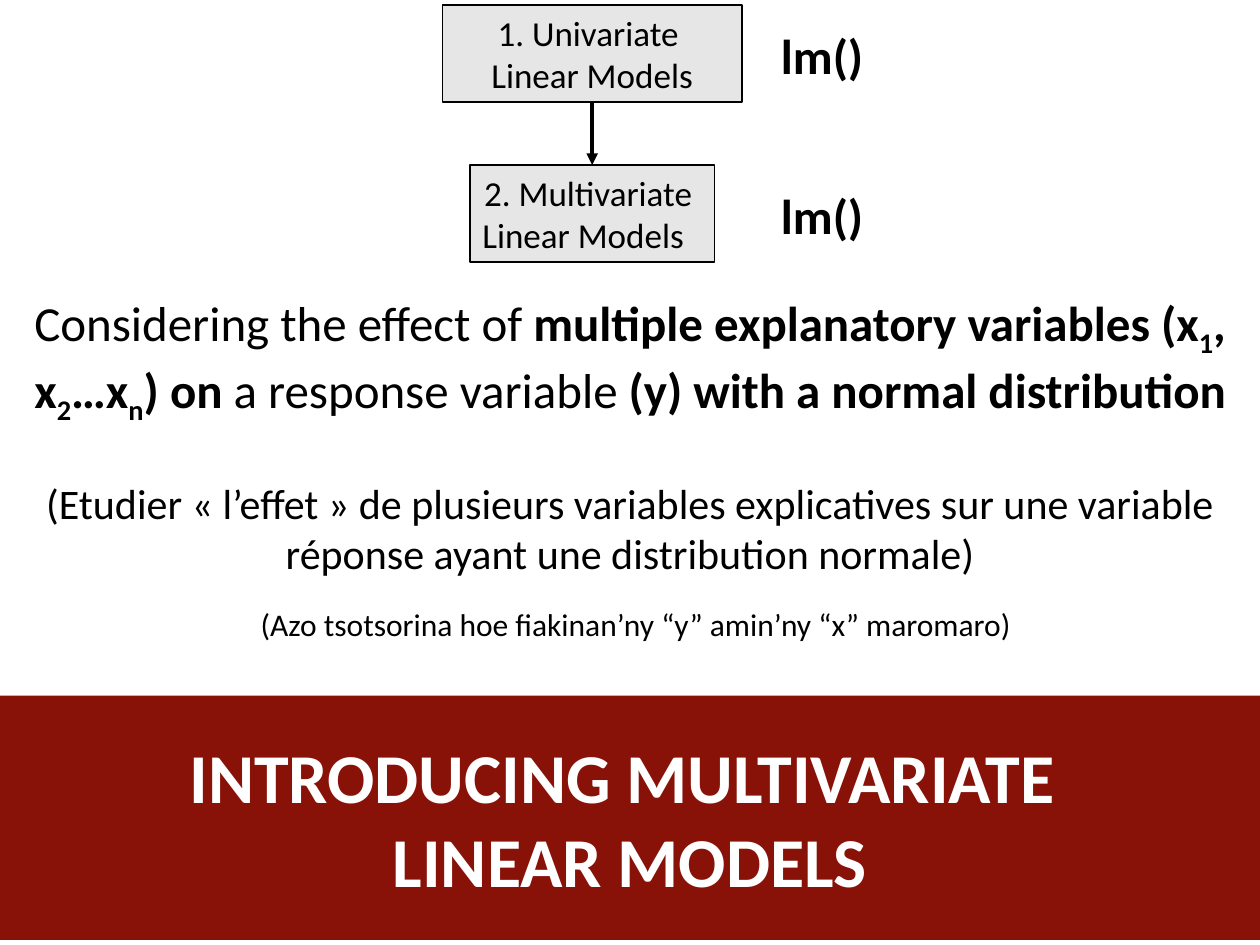
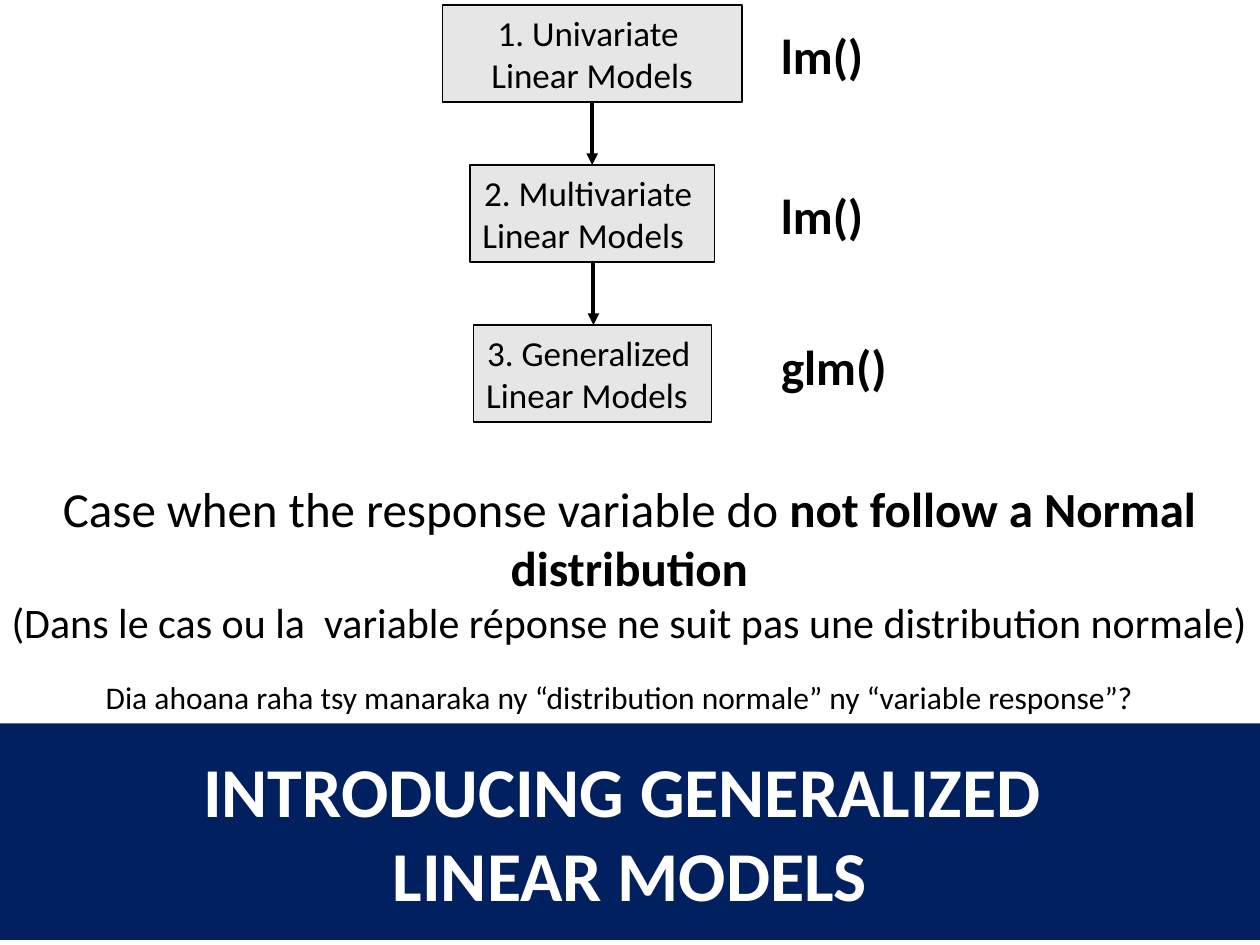
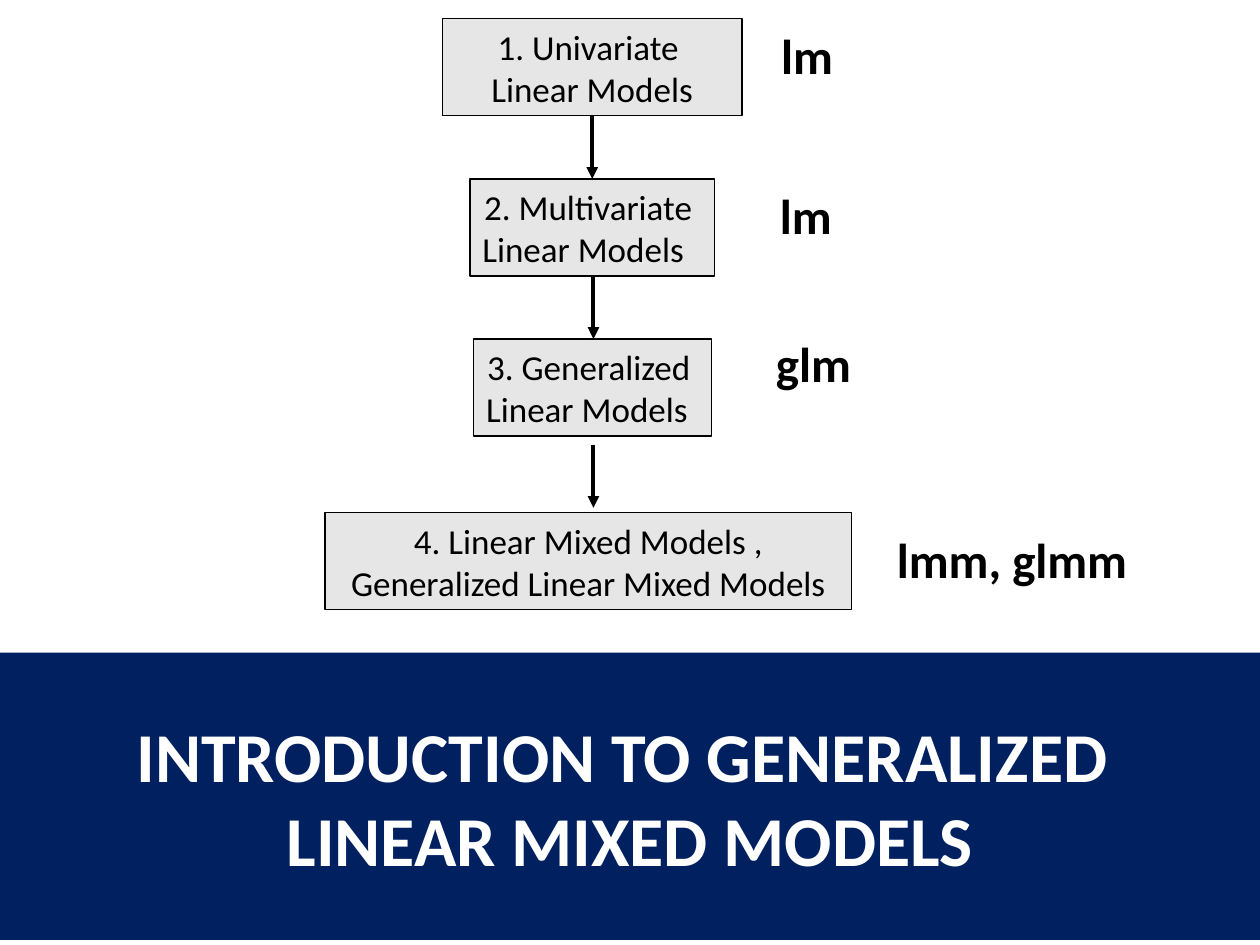
from lxml.etree import SubElement
from pptx import Presentation
from pptx.dml.color import RGBColor
from pptx.enum.shapes import MSO_CONNECTOR, MSO_SHAPE
from pptx.enum.text import MSO_ANCHOR, MSO_AUTO_SIZE, PP_ALIGN
from pptx.oxml.ns import qn
from pptx.util import Inches, Pt

BLACK = RGBColor(0x00, 0x00, 0x00)
WHITE = RGBColor(0xFF, 0xFF, 0xFF)
GREY = RGBColor(0xE7, 0xE6, 0xE6)
DARK_RED = RGBColor(0x88, 0x11, 0x08)
NAVY = RGBColor(0x00, 0x20, 0x60)

LEFT, CENTER = PP_ALIGN.LEFT, PP_ALIGN.CENTER
BAND_BOTTOM = 7.46
STEP_HEIGHT, STEP_PITCH, ARROW_LENGTH = 0.77, 1.27, 0.5
ARROW_LEFTS = [4.7, 4.71]
STEPS = [
    (3.51, 2.38, True, [(CENTER, "1. Univariate "), (CENTER, "Linear Models")]),
    (3.73, 1.94, False, [(CENTER, "2. Multivariate "), (LEFT, "Linear Models")]),
    (3.76, 1.89, False, [(CENTER, "3. Generalized "), (LEFT, "Linear Models")]),
]
MIXED_STEP = (2.58, 4.18, True,
              [(CENTER, "4. Linear Mixed Models , Generalized Linear Mixed Models")])


class Deck:
    font_name = "Calibri"

    def __init__(self):
        self.presentation = Presentation()
        self.presentation.slide_width = Inches(10)
        self.presentation.slide_height = Inches(7.5)
        self.slide = None

    def add_paragraphs(self, frame, paragraphs, **base):
        for index, (alignment, content) in enumerate(paragraphs):
            paragraph = frame.paragraphs[0] if index == 0 else frame.add_paragraph()
            paragraph.alignment = alignment
            runs = [(content, {})] if isinstance(content, str) else content
            for text, changes in runs:
                run = paragraph.add_run()
                run.text = text
                look = {"name": self.font_name, "bold": False, "color": BLACK, **base, **changes}
                run.font.color.rgb = look.pop("color")
                if look.pop("subscript", False):
                    run._r.get_or_add_rPr().set("baseline", "-25000")
                for attribute, value in look.items():
                    setattr(run.font, attribute, value)

    def fit(self, frame, wrap):
        frame.word_wrap = wrap
        frame.auto_size = MSO_AUTO_SIZE.SHAPE_TO_FIT_TEXT
        frame.vertical_anchor = MSO_ANCHOR.TOP

    def start(self, lines, top, color):
        self.slide = self.presentation.slides.add_slide(self.presentation.slide_layouts[5])
        band = self.slide.shapes.title
        place = {"left": 0, "top": top, "width": 10, "height": BAND_BOTTOM - top}
        for side, length in place.items():
            setattr(band, side, Inches(length))
        band.fill.solid()
        band.fill.fore_color.rgb = color
        frame = band.text_frame
        frame.auto_size = MSO_AUTO_SIZE.NONE
        frame.vertical_anchor = MSO_ANCHOR.MIDDLE
        self.add_paragraphs(frame, [(CENTER, line) for line in lines],
                            size=Pt(40), bold=True, color=WHITE)

    def step(self, top, left, width, wrap, paragraphs):
        box = self.slide.shapes.add_shape(MSO_SHAPE.RECTANGLE, Inches(left), Inches(top),
                                          Inches(width), Inches(STEP_HEIGHT))
        box.shadow.inherit = False
        box.fill.solid()
        box.fill.fore_color.rgb = GREY
        box.line.color.rgb = BLACK
        box.line.width = Pt(0.75)
        self.fit(box.text_frame, wrap)
        self.add_paragraphs(box.text_frame, paragraphs, size=Pt(20))

    def arrow(self, left, top):
        arrow = self.slide.shapes.add_connector(MSO_CONNECTOR.STRAIGHT, Inches(left), Inches(top),
                                                Inches(left), Inches(top + ARROW_LENGTH))
        arrow.line.color.rgb = BLACK
        arrow.line.width = Pt(2.25)
        properties = arrow._element.spPr
        SubElement(properties.find(qn("a:ln")), qn("a:tailEnd"), type="triangle")
        SubElement(properties, qn("a:effectLst"))

    def text(self, left, top, width, height, paragraphs, wrap=False, **look):
        box = self.slide.shapes.add_textbox(Inches(left), Inches(top),
                                            Inches(width), Inches(height))
        self.fit(box.text_frame, wrap)
        self.add_paragraphs(box.text_frame, paragraphs, **look)
        return box.text_frame

    def flow(self, top, count):
        for index, step in enumerate(STEPS[:count]):
            step_top = top + index * STEP_PITCH
            self.step(step_top, *step)
            if index:
                self.arrow(ARROW_LEFTS[index - 1], step_top - ARROW_LENGTH)

    def functions(self, *labels):
        for name, left, top, width in labels:
            self.text(left, top, width, 0.57, [(LEFT, name)], size=Pt(28), bold=True)

    def note(self, left, top, width, sentence):
        self.text(left, top, width, 0.4, [(LEFT, sentence)], size=Pt(18))


def main():
    deck = Deck()
    strong, sub = {"bold": True}, {"bold": True, "subscript": True}
    french = {"size": Pt(24)}
    univariate = ("lm()", 6.1, 0.15, 0.86)
    multivariate = ("lm()", 6.1, 1.42, 0.86)

    deck.start(["INTRODUCING MULTIVARIATE ", "LINEAR MODELS"], 5.52, DARK_RED)
    deck.flow(0.04, 2)
    explanation = deck.text(0.04, 2.27, 9.92, 2.26, [
        (CENTER, [
            ("Considering the effect of ", {}),
            ("multiple explanatory variables (x", strong), ("1", sub),
            (", x", strong), ("2", sub), ("…x", strong), ("n", sub), (") on", strong),
            (" a response variable ", {}),
            ("(y) with a normal distribution", strong),
        ]),
        (CENTER, [("(Etudier « l’effet » de plusieurs variables explicatives "
                   "sur une variable réponse ayant une distribution normale)", french)]),
    ], wrap=True, size=Pt(28))
    explanation.paragraphs[1].space_before = Pt(29.3)
    deck.note(1.97, 4.75, 6.22, "(Azo tsotsorina hoe fiakinan’ny “y” amin’ny “x” maromaro)")
    deck.functions(univariate, multivariate)

    deck.start(["INTRODUCING GENERALIZED ", "LINEAR MODELS"], 5.74, NAVY)
    deck.flow(0.04, 3)
    deck.text(-0.14, 3.75, 10.27, 1.45, [
        (CENTER, [("Case when the response variable do ", {}),
                  ("not follow a Normal distribution", strong)]),
        (CENTER, [("(Dans le cas ou la  variable réponse ne suit pas "
                   "une distribution normale)", french)]),
    ], wrap=True, size=Pt(28))
    deck.note(0.74, 5.33, 8.51,
              "Dia ahoana raha tsy manaraka ny “distribution normale” ny “variable response”?")
    deck.functions(univariate, multivariate, ("glm()", 6.1, 2.62, 1.05))

    deck.start(["INTRODUCTION TO GENERALIZED ", "LINEAR MIXED MODELS"], 5.18, NAVY)
    deck.flow(0.15, 3)
    deck.step(4.07, *MIXED_STEP)
    deck.arrow(ARROW_LEFTS[-1], 3.53)
    deck.functions(("lm", 6.1, 0.15, 0.62), ("lm", 6.09, 1.42, 0.62),
                   ("glm", 6.06, 2.6, 0.8), ("lmm, glmm", 7.02, 4.15, 2.05))

    deck.presentation.save("out.pptx")


if __name__ == "__main__":
    main()
